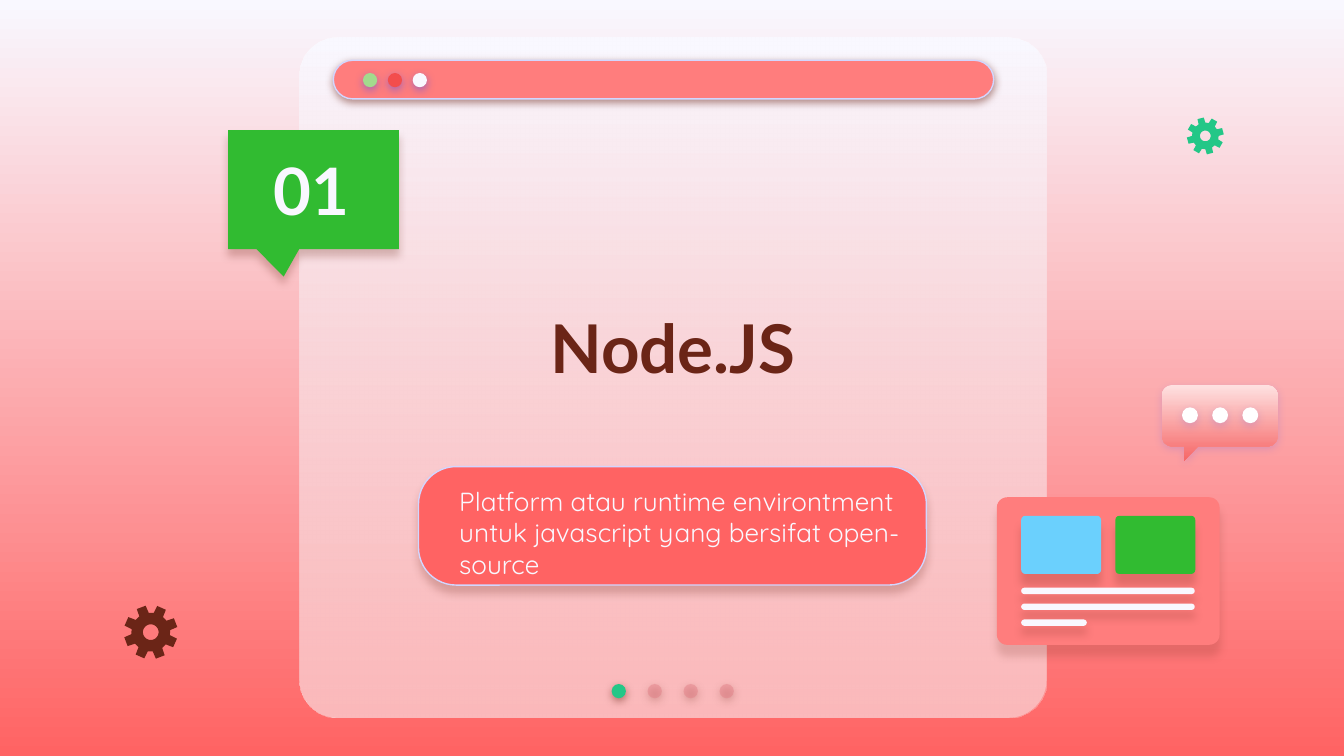
from dataclasses import dataclass
from math import cos, radians, sin
from typing import NamedTuple, Optional

from lxml.etree import SubElement
from pptx import Presentation
from pptx.dml.color import RGBColor
from pptx.enum.shapes import MSO_SHAPE as Preset
from pptx.enum.text import MSO_ANCHOR as Anchor, PP_ALIGN as Align
from pptx.oxml.ns import qn
from pptx.util import Cm, Pt

Point = tuple[float, float]


class Shadow(NamedTuple):
    color: str
    opacity: int
    distance: float
    blur: float = 4.5


class Gradient(NamedTuple):
    top: str
    bottom: str


class Box(NamedTuple):
    """Left, top, width and height in centimetres."""
    left: float
    top: float
    width: float
    height: float


@dataclass(frozen=True)
class Theme:
    white: str = "F9F8FF"
    pure_white: str = "FFFFFF"
    brown: str = "6B2517"
    coral: str = "FF6363"
    bar: str = "FF7D7D"
    outline: str = "D2D6FF"
    green: str = "31BB31"
    mint: str = "23C787"
    blue: str = "6BD0FD"
    lights: tuple[str, ...] = ("A3DA8D", "F34D4D", "F9F8FF")
    inactive: str = "E27B83"
    violet: str = "5352EE"
    panel: Gradient = Gradient("F9F8FF", "FCA1A1")
    bubble: Gradient = Gradient("FEE1E1", "F66767")
    heading: str = "Lato"
    body: str = "Quicksand"
    title_size: int = 36
    number_size: int = 35
    body_size: int = 14


THEME = Theme()


@dataclass(frozen=True)
class Style:
    fill: str | Gradient
    shadow: Optional[Shadow] = None
    outline: Optional[str] = None
    opacity: int = 100


@dataclass(frozen=True)
class Label:
    text: str
    box: Box
    font: str
    size: int
    color: str
    bold: bool = False
    align: Align = Align.CENTER
    anchor: Anchor = Anchor.MIDDLE
    space_after: int = 0


@dataclass(frozen=True)
class Gear:
    center: Point
    radius: float
    first_tooth: float
    color: str


def set_gradient(fill, gradient: Gradient) -> None:
    fill.gradient()
    fill.gradient_angle = 270
    for stop, color in zip(fill.gradient_stops, gradient):
        stop.color.rgb = RGBColor.from_string(color)


def apply_style(shape, style: Style) -> None:
    """Set fill, outline and shadow; opacity goes to the last fill colour."""
    properties = shape._element.spPr
    if isinstance(style.fill, Gradient):
        set_gradient(shape.fill, style.fill)
    else:
        shape.fill.solid()
        shape.fill.fore_color.rgb = RGBColor.from_string(style.fill)
    if style.opacity < 100:
        last_color = list(properties.iter(qn("a:srgbClr")))[-1]
        SubElement(last_color, qn("a:alpha"), val=str(style.opacity * 1000))
    if style.outline:
        shape.line.color.rgb = RGBColor.from_string(style.outline)
        shape.line.width = Pt(0.75)
    else:
        shape.line.fill.background()
    shape.shadow.inherit = False
    if style.shadow:
        outer = SubElement(properties.find(qn("a:effectLst")), qn("a:outerShdw"),
                           blurRad=str(Pt(style.shadow.blur)), dist=str(Pt(style.shadow.distance)),
                           dir="5400000", algn="bl", rotWithShape="0")
        color = SubElement(outer, qn("a:srgbClr"), val=style.shadow.color)
        SubElement(color, qn("a:alpha"), val=str(style.shadow.opacity * 1000))


def add_preset(slide, preset: Preset, box: Box, style: Style, *adjustments: float) -> None:
    shape = slide.shapes.add_shape(preset, *map(Cm, box))
    for index, value in enumerate(adjustments):
        shape.adjustments[index] = value
    apply_style(shape, style)


def add_rounded(slide, box: Box, style: Style, rounding: float) -> None:
    add_preset(slide, Preset.ROUNDED_RECTANGLE, box, style, rounding)


def add_dots(slide, first: Box, step: float, styles: list[Style]) -> None:
    for index, style in enumerate(styles):
        add_preset(slide, Preset.OVAL, first._replace(left=first.left + index * step), style)


def polar(center: Point, radius: float, degrees: float) -> Point:
    angle = radians(degrees)
    return center[0] + radius * cos(angle), center[1] + radius * sin(angle)


def arc(center: Point, radius: float, start: int, sweep: int) -> list[Point]:
    return [polar(center, radius, start + turn) for turn in range(0, sweep + 1, 10)]


def add_outline(slide, contours: list[list[Point]], style: Style) -> None:
    contours = [[(Cm(x), Cm(y)) for x, y in contour] for contour in contours]
    builder = slide.shapes.build_freeform(*contours[0][0])
    for index, contour in enumerate(contours):
        if index:
            builder.move_to(*contour[0])
        builder.add_line_segments(contour[1:], close=True)
    apply_style(builder.convert_to_shape(), style)


def add_gear(slide, gear: Gear) -> None:
    """Draw eight tapered teeth around a round hole."""
    tooth = ((-15, 0.72), (-10, 1), (10, 1), (15, 0.72))
    teeth = [polar(gear.center, gear.radius * reach, gear.first_tooth + 45 * index + turn)
             for index in range(8) for turn, reach in tooth]
    hole = arc(gear.center, gear.radius * 0.29, 0, 350)
    add_outline(slide, [teeth, hole], Style(gear.color))


def add_bubble(slide, box: Box, radius: float, tail: list[Point], style: Style) -> None:
    left, top = box.left + radius, box.top + radius
    right, bottom = box.left + box.width - radius, box.top + box.height - radius
    outline = (arc((left, top), radius, 180, 90) + arc((right, top), radius, 270, 90)
               + arc((right, bottom), radius, 0, 90) + tail
               + arc((left, bottom), radius, 90, 90))
    add_outline(slide, [outline], style)


def add_label(slide, label: Label) -> None:
    frame = slide.shapes.add_textbox(*map(Cm, label.box)).text_frame
    frame.word_wrap = True
    frame.vertical_anchor = label.anchor
    frame.margin_left = frame.margin_right = Cm(0.25)
    frame.margin_top = frame.margin_bottom = Cm(0.25)
    frame.text = label.text
    paragraph = frame.paragraphs[0]
    paragraph.alignment = label.align
    paragraph.space_after = Pt(label.space_after)
    font = paragraph.runs[0].font
    font.name, font.size, font.bold = label.font, Pt(label.size), label.bold
    font.color.rgb = RGBColor.from_string(label.color)


def add_browser_window(slide) -> None:
    theme, shadow = THEME, Shadow(THEME.brown, 50, 1.5)
    panel = Box(5.66, 0.71, 14.12, 12.86)
    for style in (Style(theme.white), Style(theme.panel, opacity=72)):
        add_rounded(slide, panel, style, 0.056)
    add_dots(slide, Box(11.56, 12.93, 0.27, 0.27), 0.68,
             [Style(theme.mint, shadow)] + [Style(theme.inactive, shadow, opacity=44)] * 3)
    add_rounded(slide, Box(6.3, 1.14, 12.48, 0.73), Style(theme.bar, shadow, theme.outline), 0.5)
    add_dots(slide, Box(6.86, 1.38, 0.27, 0.27), 0.47,
             [Style(color, Shadow(theme.violet, 50, 1.5)) for color in theme.lights])


def add_page_card(slide) -> None:
    theme = THEME
    add_rounded(slide, Box(18.84, 9.4, 4.21, 2.79), Style(theme.bar, Shadow(theme.brown, 17, 6)), 0.07)
    for left, color in ((19.3, theme.blue), (21.08, theme.green)):
        add_rounded(slide, Box(left, 9.75, 1.51, 1.1), Style(color, Shadow(theme.brown, 20, 6)), 0.07)
    for index, width in enumerate((3.28, 3.28, 1.24)):
        add_rounded(slide, Box(19.3, 11.11 + 0.3 * index, width, 0.12),
                    Style(theme.white, Shadow(theme.brown, 21, 4.5)), 0.5)


def add_chat(slide) -> None:
    shadow = Shadow(THEME.violet, 18, 1.5)
    add_bubble(slide, Box(21.96, 7.28, 2.19, 1.16), 0.2,
               [(22.64, 8.44), (22.38, 8.71), (22.38, 8.44)], Style(THEME.bubble, shadow))
    add_dots(slide, Box(22.34, 7.7, 0.3, 0.3), 0.57, [Style(THEME.pure_white, shadow)] * 3)


def main() -> None:
    theme = THEME
    presentation = Presentation()
    presentation.slide_width, presentation.slide_height = Cm(25.4), Cm(14.29)
    slide = presentation.slides.add_slide(presentation.slide_layouts[6])
    set_gradient(slide.background.fill, Gradient(theme.white, theme.coral))

    add_browser_window(slide)
    add_preset(slide, Preset.ROUNDED_RECTANGULAR_CALLOUT, Box(4.31, 2.46, 3.23, 2.25),
               Style(theme.green, Shadow(theme.brown, 25, 3.8)), -0.174, 0.731, 0)
    add_rounded(slide, Box(7.91, 8.82, 9.6, 2.24),
                Style(theme.coral, Shadow(theme.brown, 24, 3.8), theme.outline), 0.317)
    add_page_card(slide)
    add_chat(slide)
    for gear in (Gear((2.85, 11.95), 0.51, -111, theme.brown),
                 Gear((22.78, 2.57), 0.35, -105, theme.mint)):
        add_gear(slide, gear)
    for label in (
        Label("Node.JS", Box(6.88, 4.24, 11.68, 4.62), theme.heading, theme.title_size,
              theme.brown, bold=True),
        Label("Platform atau runtime environtment untuk javascript yang bersifat open-source",
              Box(8.43, 9.07, 9.07, 1.98), theme.body, theme.body_size, theme.white,
              align=Align.LEFT, space_after=12),
        Label("01", Box(4.55, 2.59, 2.69, 1.98), theme.heading, theme.number_size,
              theme.white, bold=True, anchor=Anchor.BOTTOM),
    ):
        add_label(slide, label)
    presentation.save("out.pptx")


if __name__ == "__main__":
    main()
